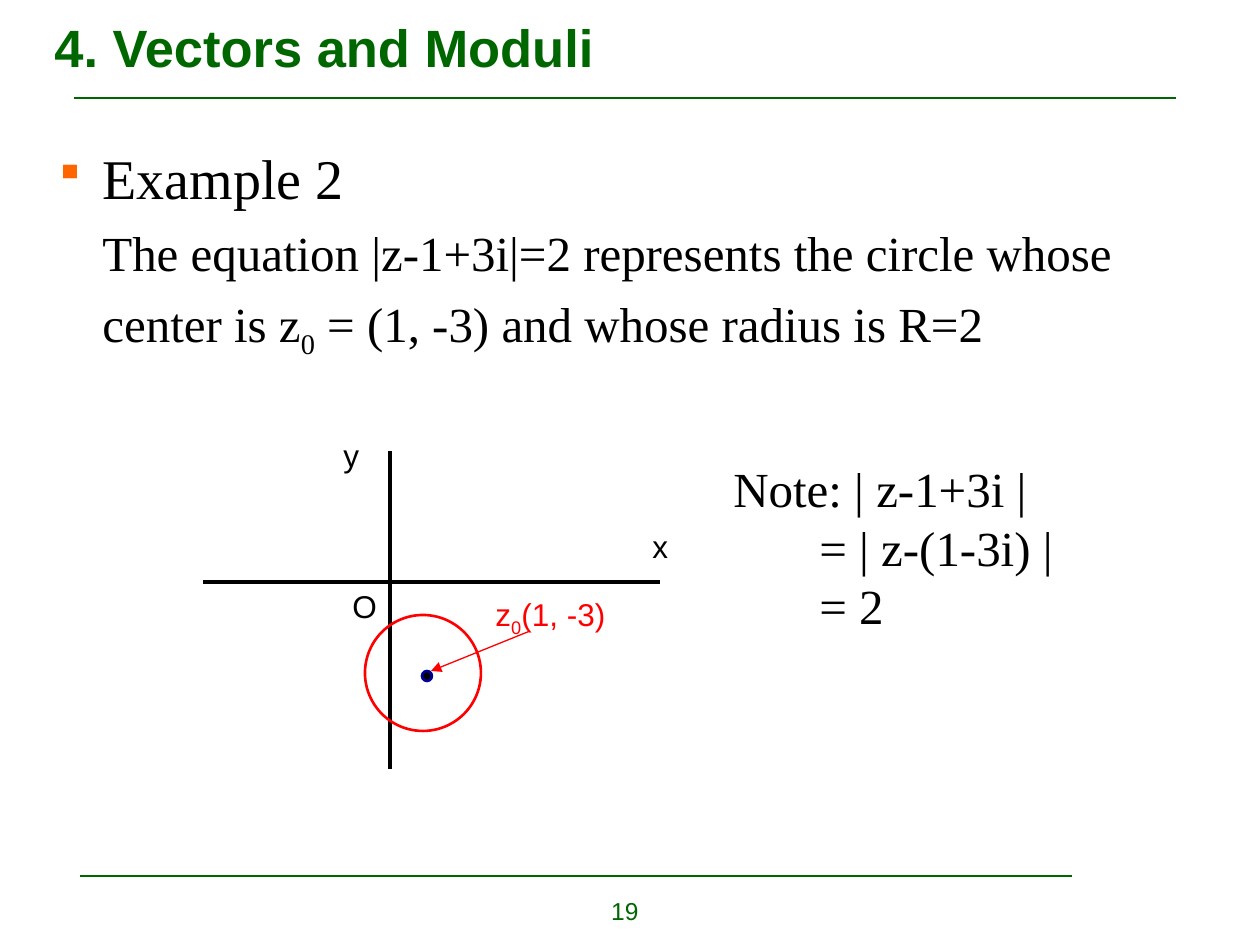
import pptx
import pptx.util
import pptx.dml.color
import pptx.enum.shapes
import pptx.enum.text
import pptx.oxml.ns
import lxml.etree

RGB = pptx.dml.color.RGBColor
GREEN = RGB(0x00, 0x66, 0x00)
ORANGE = RGB(0xFF, 0x66, 0x00)
BLACK = RGB(0x00, 0x00, 0x00)
NAVY = RGB(0x00, 0x00, 0x99)
RED = RGB(0xFF, 0x00, 0x00)

SANS, SERIF = "Arial", "Times New Roman"
ALIGN = pptx.enum.text.PP_ALIGN
ANCHOR = pptx.enum.text.MSO_ANCHOR
SCALE = 914400 / 126  # EMU in one px


def px(num):
    return pptx.util.Emu(round(num * SCALE))


def child(node, tag, **attrs):
    return lxml.etree.SubElement(node, pptx.oxml.ns.qn(tag), attrs)


def add_text(shapes, box, lines, size=18, font=SANS, color=BLACK, bold=False,
             align=ALIGN.LEFT, anchor=ANCHOR.TOP, wrap=True):
    """Add a text box; in a line, pieces between underscores are subscripts."""
    frame = shapes.add_textbox(*map(px, box)).text_frame
    frame.word_wrap = wrap
    frame.vertical_anchor = anchor
    for num, line in enumerate(lines):
        para = frame.add_paragraph() if num else frame.paragraphs[0]
        para.alignment = align
        for part, piece in enumerate(line.split("_")):
            run = para.add_run()
            run.text = piece
            run.font.size = pptx.util.Pt(size)
            run.font.name = font
            run.font.bold = bold
            run.font.color.rgb = color
            if part % 2:
                run.font._element.set("baseline", "-25000")
    return frame


def indent(para, left, hang=0):
    props = para._p.get_or_add_pPr()
    props.set("marL", str(px(left)))
    props.set("indent", str(-px(hang)))
    return props


def add_line(shapes, start, end, color, width, arrow=False):
    line = shapes.add_connector(pptx.enum.shapes.MSO_CONNECTOR.STRAIGHT,
                                *map(px, start + end))
    line.line.color.rgb = color
    line.line.width = pptx.util.Pt(width)
    if arrow:
        child(line.line._get_or_add_ln(), "a:headEnd", type="triangle")
    child(line._element.spPr, "a:effectLst")


def add_oval(shapes, box, color, fill=None):
    oval = shapes.add_shape(pptx.enum.shapes.MSO_SHAPE.OVAL, *map(px, box))
    oval.shadow.inherit = False
    oval.line.color.rgb = color
    oval.line.width = pptx.util.Pt(1.5)
    if fill is None:
        oval.fill.background()
    else:
        oval.fill.solid()
        oval.fill.fore_color.rgb = fill


def header(shapes, x, y, w, h):
    add_line(shapes, (x + 32, y + 94), (x + w - 43, y + 94), GREEN, 1.5)
    add_text(shapes, (x, y, w, h), ["4. Vectors and Moduli"], size=30,
             color=GREEN, bold=True, anchor=ANCHOR.MIDDLE)


def footer(shapes, x, y, w, h):
    add_line(shapes, (x, y), (x + w, y), GREEN, 1.5)
    add_text(shapes, (x + 442, y + 14, 129, h - 14), ["19"], size=14,
             color=GREEN, align=ALIGN.RIGHT)


def body(shapes, x, y, w, h):
    lines = ["Example 2",
             "The equation |z-1+3i|=2 represents the circle whose",
             "center is z_0_ = (1, -3) and whose radius is R=2"]
    frame = add_text(shapes, (x, y, w, h), lines, size=28, font=SERIF)
    first, *rest = frame.paragraphs
    for para in rest:
        para.space_before = pptx.util.Pt(7)
        indent(para, 48)
    # Bulleted heading
    first.space_before = pptx.util.Pt(8)
    first.runs[0].font.size = pptx.util.Pt(32)
    props = indent(first, 48, 48)
    child(child(props, "a:buClr"), "a:srgbClr", val=str(ORANGE))
    child(props, "a:buSzPct", val="75000")
    child(props, "a:buChar", char="▪")


def diagram(shapes, x, y, w, h):
    parts = shapes.add_group_shape().shapes
    # Axes
    add_line(parts, (x, y + 152), (x + w - 20, y + 152), BLACK, 2)
    add_line(parts, (x + 187, y + h), (x + 187, y + 21), BLACK, 2)
    # Circle and its center
    add_oval(parts, (x + 219, y + 241, 10, 10), NAVY, BLACK)
    add_oval(parts, (x + 162, y + 185, 116, 116), RED)
    add_line(parts, (x + 228, y + 241), (x + 327, y + 201), RED, 0.75, True)
    # Labels
    labels = [("x", 437, 91, 40, BLACK), ("y", 128, 0, 40, BLACK),
              ("O", 137, 151, 49, BLACK), ("z_0_(1, -3)", 280, 159, 144, RED)]
    for label, left, top, wide, color in labels:
        add_text(parts, (x + left, y + top, wide, 50), [label],
                 color=color, wrap=False)


def note(shapes, x, y, w, h):
    lines = ["Note: | z-1+3i |", "= | z-(1-3i) |", "= 2"]
    frame = add_text(shapes, (x, y, w, h), lines, size=28, font=SERIF)
    for para in frame.paragraphs[1:]:
        indent(para, 86)


def main():
    deck = pptx.Presentation()
    deck.slide_width, deck.slide_height = px(1260), px(945)
    shapes = deck.slides.add_slide(deck.slide_layouts[6]).shapes
    header(shapes, 42, 4, 1177, 86)
    footer(shapes, 80, 876, 992, 59)
    body(shapes, 42, 137, 1177, 728)
    diagram(shapes, 203, 430, 477, 339)
    note(shapes, 721, 452, 370, 189)
    deck.save("out.pptx")


if __name__ == "__main__":
    main()
